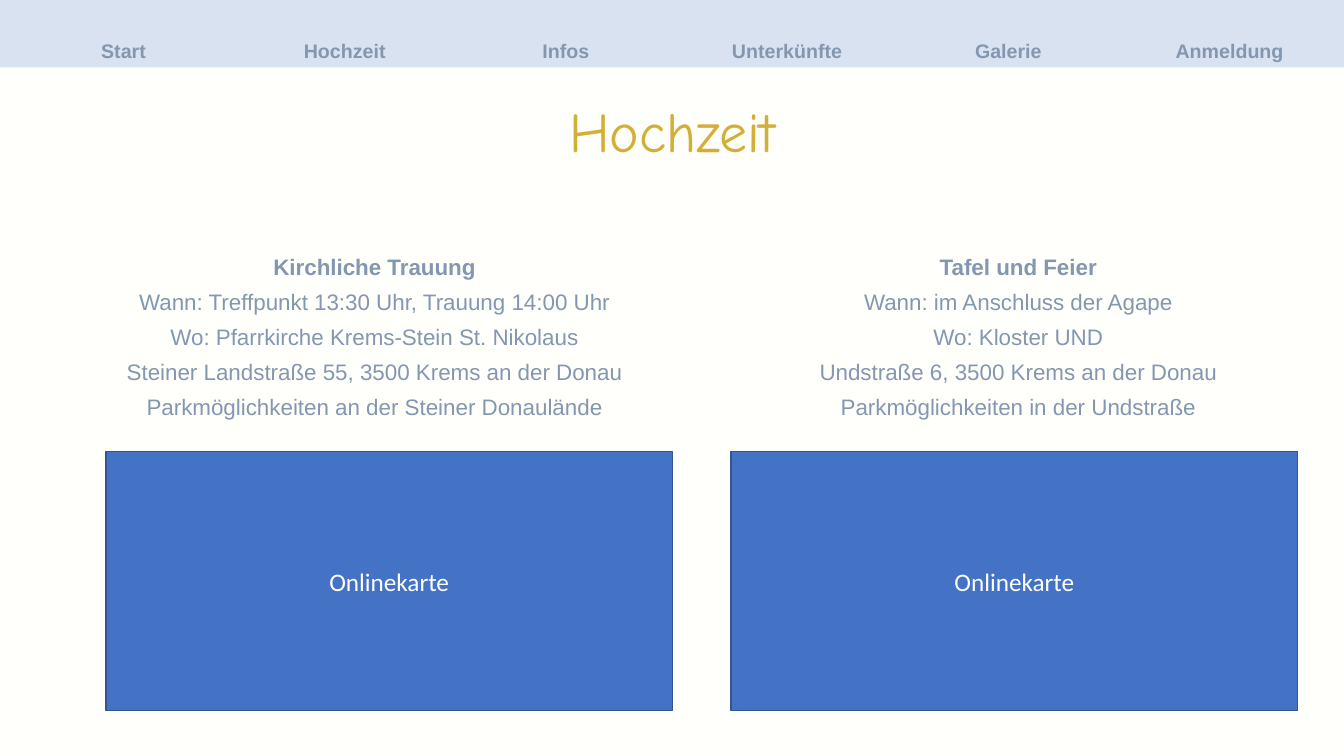
"""Build the wedding page slide with navigation bar, venue details and map areas."""
import pptx
import pptx.util
import pptx.dml.color
import pptx.enum.shapes
import pptx.enum.text

Inches = pptx.util.Inches
Pt = pptx.util.Pt
RGBColor = pptx.dml.color.RGBColor
RECTANGLE = pptx.enum.shapes.MSO_SHAPE.RECTANGLE
ANCHOR = pptx.enum.text.MSO_ANCHOR

CREAM = RGBColor(0xFF, 0xFF, 0xFB)
PALE_BLUE = RGBColor(0xD8, 0xE2, 0xF0)
SLATE = RGBColor(0x84, 0x97, 0xB0)
BLUE = RGBColor(0x44, 0x72, 0xC4)
DARK_BLUE = RGBColor(0x32, 0x54, 0x91)
WHITE = RGBColor(0xFF, 0xFF, 0xFF)
GOLD = RGBColor(0xD4, 0xAF, 0x37)


def write(sp, paragraphs, size, font="Arial", color=SLATE, bold=False, bold_first=False,
          line_spacing=None, insets=(0.1, 0.05, 0.1, 0.05), anchor=ANCHOR.TOP):
    tf = sp.text_frame
    tf.word_wrap = True
    tf.auto_size = pptx.enum.text.MSO_AUTO_SIZE.NONE
    tf.vertical_anchor = anchor
    tf.margin_left, tf.margin_top, tf.margin_right, tf.margin_bottom = map(Inches, insets)
    for i, text in enumerate(paragraphs):
        p = tf.add_paragraph() if i else tf.paragraphs[0]
        p.text = text
        p.alignment = pptx.enum.text.PP_ALIGN.CENTER
        if line_spacing:
            p.line_spacing = Pt(line_spacing)
        for r in p.runs:
            r.font.size = Pt(size)
            r.font.name = font
            r.font.color.rgb = color
            r.font.bold = bold or (bold_first and i == 0)


def add_rectangle(s, left, top, width, height, fill, line=None):
    sp = s.shapes.add_shape(RECTANGLE, Inches(left), Inches(top), Inches(width), Inches(height))
    sp.shadow.inherit = False
    sp.fill.solid()
    sp.fill.fore_color.rgb = fill
    if line is None:
        sp.line.fill.background()
    else:
        sp.line.color.rgb = line
        sp.line.width = Pt(1)
    return sp


prs = pptx.Presentation()
prs.slide_width = Inches(13.33)
prs.slide_height = Inches(7.5)
s = prs.slides.add_slide(prs.slide_layouts[5])
s.background.fill.solid()
s.background.fill.fore_color.rgb = CREAM

add_rectangle(s, 0, 0, 13.33, 0.67, PALE_BLUE)
menu = ["Start", "Hochzeit", "Infos", "Unterkünfte", "Galerie", "Anmeldung"]
for i, label in enumerate(menu):
    sp = s.shapes.add_textbox(Inches(0.47 + 2.194 * i), Inches(0.34), Inches(1.51), Inches(0.34))
    write(sp, [label], 14, bold=True)

title = s.shapes.title
title.left, title.top, title.width, title.height = map(Inches, (4.9, 0.91, 3.54, 0.77))
write(title, ["Hochzeit"], 40, font="Comic Neue", color=GOLD)

venues = [
    (0.76, 5.91, 1.05, [
        "Kirchliche Trauung",
        "Wann: Treffpunkt 13:30 Uhr, Trauung 14:00 Uhr",
        "Wo: Pfarrkirche Krems-Stein St. Nikolaus\nSteiner Landstraße 55, 3500 Krems an der Donau",
        "Parkmöglichkeiten an der Steiner Donaulände",
    ]),
    (7.25, 5.7, 7.25, [
        "Tafel und Feier",
        "Wann: im Anschluss der Agape",
        "Wo: Kloster UND\nUndstraße 6, 3500 Krems an der Donau Parkmöglichkeiten in der Undstraße",
    ]),
]
for left, width, map_left, details in venues:
    sp = s.shapes.add_textbox(Inches(left), Inches(2.23), Inches(width), Inches(1.97))
    write(sp, details, 16, bold_first=True, line_spacing=25, insets=(0.39, 0.2, 0.39, 0.05))
    sp = add_rectangle(s, map_left, 4.48, 5.62, 2.57, BLUE, DARK_BLUE)
    write(sp, ["Onlinekarte"], 18, font="Calibri", color=WHITE, anchor=ANCHOR.MIDDLE)

prs.save("out.pptx")
